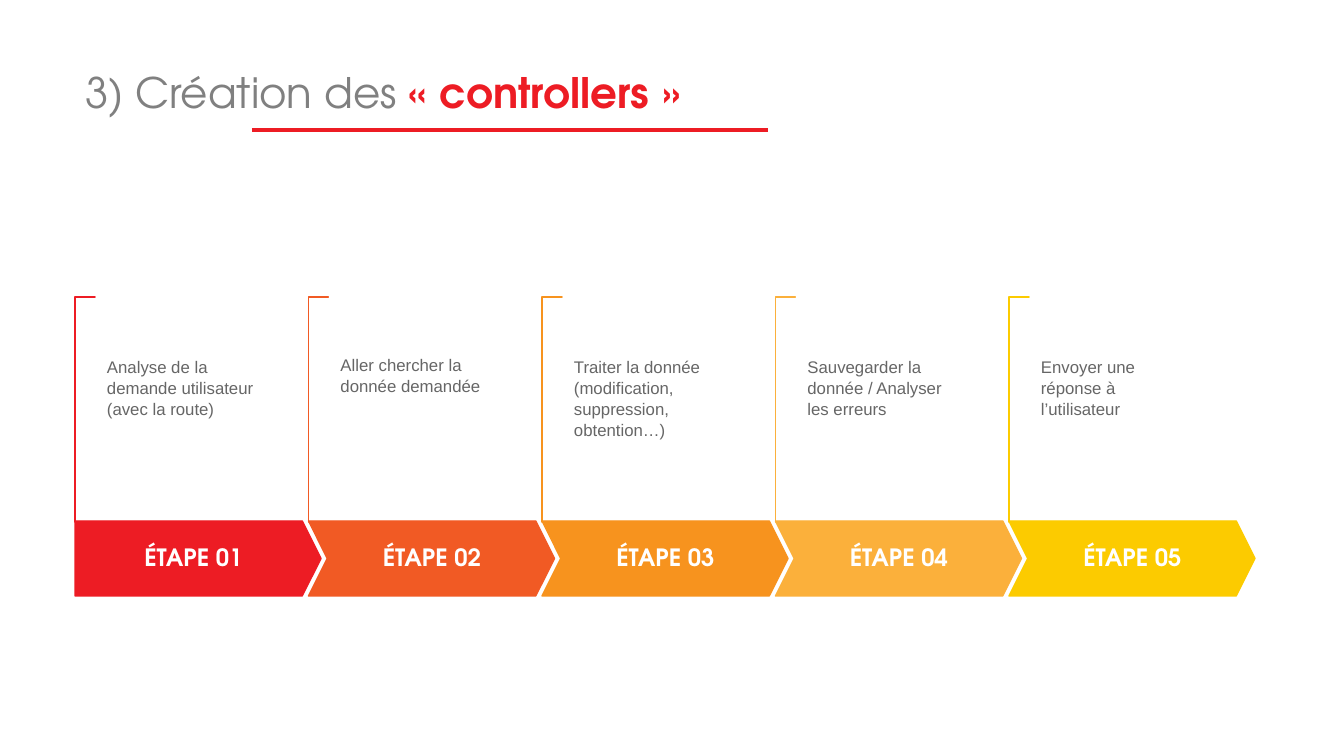
from lxml import etree
from pptx import Presentation
from pptx.dml.color import RGBColor
from pptx.enum.shapes import MSO_CONNECTOR, MSO_SHAPE
from pptx.enum.text import MSO_ANCHOR, MSO_AUTO_SIZE, PP_ALIGN
from pptx.oxml.ns import qn
from pptx.util import Pt

TITLE = [("3) Création des ", "gray", False), ("« controllers »", "red", True)]
STEPS = [
    ("ÉTAPE 01", "Analyse de la demande utilisateur (avec la route)", "red"),
    ("ÉTAPE 02", "Aller chercher la donnée demandée", "vermilion"),
    ("ÉTAPE 03", "Traiter la donnée (modification, suppression, obtention…)", "orange"),
    ("ÉTAPE 04", "Sauvegarder la donnée / Analyser les erreurs", "amber"),
    ("ÉTAPE 05", "Envoyer une réponse à l’utilisateur", "yellow"),
]
COLORS = {
    "red": "ED1C24", "vermilion": "F15A24", "orange": "F7931E",
    "amber": "FBB03B", "yellow": "FCCB00",
    "gray": "808080", "text": "666666", "white": "FFFFFF",
}
HEAD_FONT, BODY_FONT = "TeX Gyre Adventor", "Arial"

LEFT, SPAN = 75, 934  # left edge of the first step, distance to the last one
ARROW_TOP, ARROW_W, ARROW_H = 521, 246, 75
BRACKET_TOP, BRACKET_W, BRACKET_H = 297, 20, 225
BODY_TOP, BODY_W, BODY_H = 309, 200, 156
INDENT = 20


def px(n):
    return round(n * 914400 / 100.8)


def rgb(name):
    return RGBColor.from_string(COLORS[name])


def style_run(r, font, size, color, bold=False):
    r.font.name, r.font.size, r.font.bold = font, Pt(size), bold
    r.font.color.rgb = rgb(color)


def add_outlined(kind, x, y, w, h, fill, line, adjustments):
    sp = slide.shapes.add_shape(kind, px(x), px(y), px(w), px(h))
    sp.shadow.inherit = False
    sp.fill.solid()
    sp.fill.fore_color.rgb = rgb(fill)
    sp.line.color.rgb = rgb(line)
    sp.line.width = Pt(1)
    for i, value in enumerate(adjustments):
        sp.adjustments[i] = value
    return sp


def add_text(text, x, y, w, h, insets):
    """Add a wrapped text box and return its frame, paragraph and run."""
    tf = slide.shapes.add_textbox(px(x), px(y), px(w), px(h)).text_frame
    tf.word_wrap = True
    tf.margin_left, tf.margin_top, tf.margin_right, tf.margin_bottom = map(px, insets)
    tf.text = text
    p = tf.paragraphs[0]
    return tf, p, p.runs[0]


def add_step(i, label, body, color):
    x = LEFT + i * SPAN / (len(STEPS) - 1)
    # The bracket is a corner turned by 90°, so its sides swap about its centre
    shift = (BRACKET_H - BRACKET_W) / 2
    bracket = add_outlined(MSO_SHAPE.CORNER, x - shift, BRACKET_TOP + shift,
                           BRACKET_H, BRACKET_W, "white", color, (0.01, 0.01))
    bracket.rotation = 90

    kind = MSO_SHAPE.CHEVRON if i else MSO_SHAPE.PENTAGON
    add_outlined(kind, x, ARROW_TOP, ARROW_W, ARROW_H, color, color, (0.25,))

    label_x, label_w = (x + 19, 209) if i else (x, 237)
    tf, p, r = add_text(label, label_x, ARROW_TOP, label_w, ARROW_H, (12, 24, 12, 24))
    tf.vertical_anchor = MSO_ANCHOR.MIDDLE
    p.alignment, p.line_spacing = PP_ALIGN.CENTER, 0.9
    style_run(r, HEAD_FONT, 17, "white", True)

    tf, p, r = add_text(body, x + INDENT, BODY_TOP, BODY_W, BODY_H, (12, 47, 31, 0))
    p.line_spacing = Pt(15)
    style_run(r, BODY_FONT, 12, "text")


prs = Presentation()
prs.slide_width, prs.slide_height = px(1344), px(756)
slide = prs.slides.add_slide(prs.slide_layouts[5])

title = slide.shapes.title
title.left, title.top, title.width, title.height = map(px, (75, 22, 1180, 146))
tf = title.text_frame
tf.auto_size = MSO_AUTO_SIZE.NONE
tf.vertical_anchor = MSO_ANCHOR.MIDDLE
p = tf.paragraphs[0]
p.alignment, p.line_spacing = PP_ALIGN.LEFT, 0.9
for text, color, bold in TITLE:
    r = p.add_run()
    r.text = text
    style_run(r, HEAD_FONT, 30, color, bold)

underline = slide.shapes.add_connector(
    MSO_CONNECTOR.STRAIGHT, px(252), px(130), px(768), px(130))
underline.line.color.rgb = rgb("red")
underline.line.width = Pt(3)
etree.SubElement(underline._element.spPr, qn("a:effectLst"))

for i, step in enumerate(STEPS):
    add_step(i, *step)

prs.save("out.pptx")
